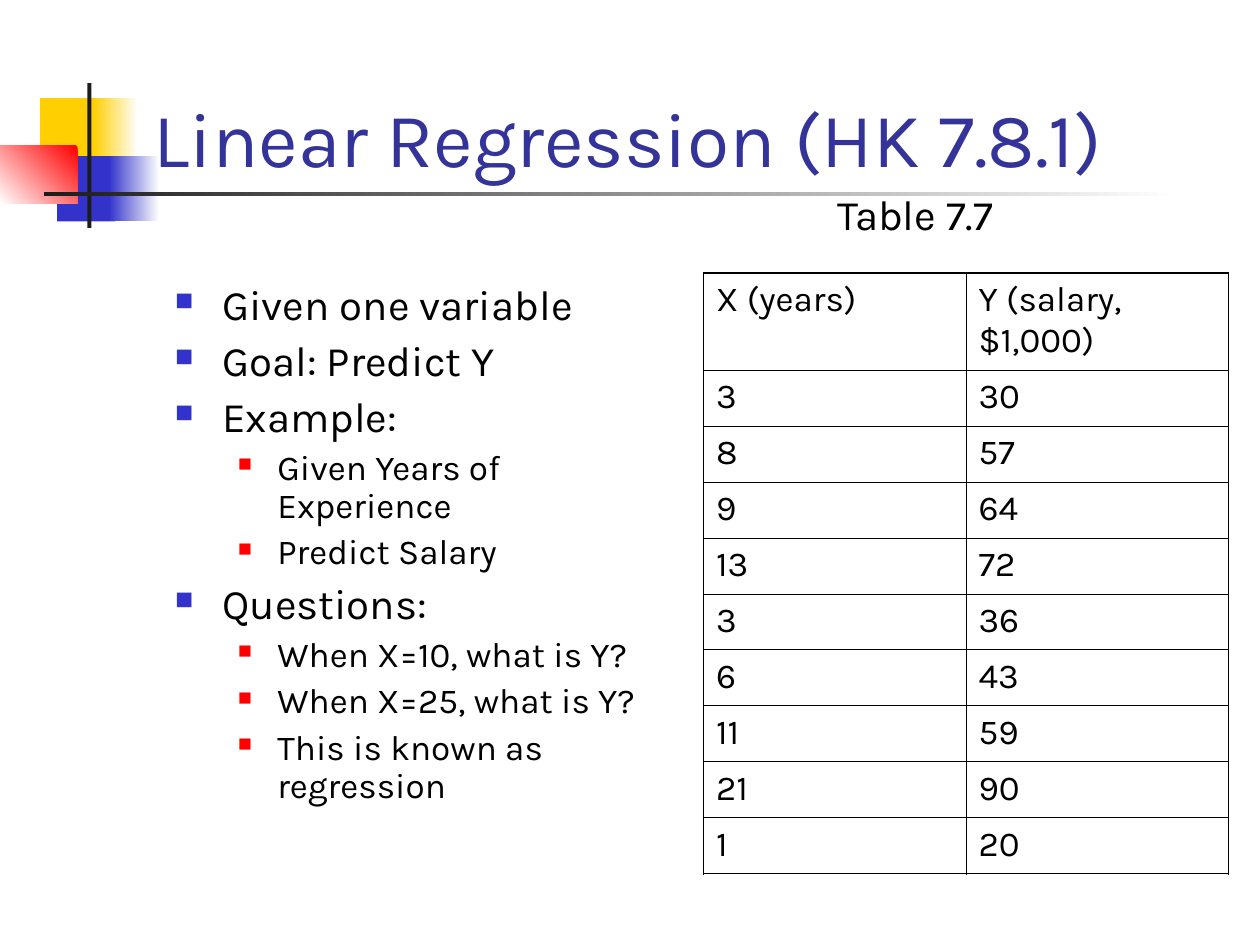
from lxml import etree
from pptx import Presentation
from pptx.dml.color import RGBColor
from pptx.enum.shapes import MSO_SHAPE
from pptx.enum.text import MSO_ANCHOR
from pptx.oxml.ns import qn
from pptx.util import Pt

RECTANGLE = MSO_SHAPE.RECTANGLE
BOTTOM = MSO_ANCHOR.BOTTOM
FONT = "Karla"
COLORS = {
    "white": "FFFFFF", "black": "000000", "title": "333399", "yellow": "FFCF01",
    "blue": "3333CC", "red": "FF0000", "dark": "1C1C1C",
}


def color(name):
    return RGBColor.from_string(COLORS[name])


def add_run(paragraph, text, size, color_name="black"):
    run = paragraph.add_run()
    run.text = text
    run.font.name = FONT
    run.font.size = Pt(size)
    run.font.color.rgb = color(color_name)


presentation = Presentation()
presentation.slide_width = Pt(720)
presentation.slide_height = Pt(540)
slide = presentation.slides.add_slide(presentation.slide_layouts[6])

# Corner decoration: left, top, width, height, colours, gradient angle
decorations = [
    (22.9, 56.1, 34.6, 37.4, ["yellow"], None),
    (53.1, 56.1, 25.9, 37.4, ["white", "yellow"], 180),
    (32.6, 89.2, 33.2, 37.4, ["blue"], None),
    (62.1, 89.2, 28.8, 37.4, ["white", "blue"], 180),
    (0, 83.2, 44.2, 33.3, ["red", "white"], 225),
    (49.9, 47.5, 2.4, 82.8, ["dark"], None),
    (25.2, 109.7, 648, 2.5, ["white", "dark"], 180),
]
for left, top, width, height, names, angle in decorations:
    shape = slide.shapes.add_shape(RECTANGLE, Pt(left), Pt(top), Pt(width), Pt(height))
    shape.shadow.inherit = False
    shape.line.fill.background()
    if angle is None:
        shape.fill.solid()
        shape.fill.fore_color.rgb = color(names[0])
    else:
        shape.fill.gradient()
        shape.fill.gradient_angle = angle
        for stop, name in zip(shape.fill.gradient_stops, names):
            stop.color.rgb = color(name)

# Title
title = slide.shapes.add_textbox(Pt(80.6), Pt(18), Pt(613.4), Pt(90)).text_frame
title.word_wrap = True
title.vertical_anchor = BOTTOM
add_run(title.paragraphs[0], "Linear Regression (HK 7.8.1)", 44, "title")

# Bulleted list: one style per level
levels = [
    {"size": 24, "before": 6, "margin": 27, "indent": -27, "bullet": "blue", "percent": 60},
    {"size": 20, "before": 5, "margin": 58.5, "indent": -22.5, "bullet": "red", "percent": 55},
]
points = [
    (0, "Given one variable"),
    (0, "Goal: Predict Y"),
    (0, "Example:"),
    (1, "Given Years of Experience"),
    (1, "Predict Salary"),
    (0, "Questions:"),
    (1, "When X=10, what is Y?"),
    (1, "When X=25, what is Y?"),
    (1, "This is known as regression"),
]
body = slide.shapes.add_textbox(Pt(92.9), Pt(159.1), Pt(300), Pt(324)).text_frame
body.word_wrap = True
for index, (level, text) in enumerate(points):
    style = levels[level]
    paragraph = body.add_paragraph() if index else body.paragraphs[0]
    paragraph.level = level
    properties = paragraph._p.get_or_add_pPr()
    properties.set("marL", str(Pt(style["margin"])))
    properties.set("indent", str(Pt(style["indent"])))
    bullet_color = etree.SubElement(properties, qn("a:buClr"))
    etree.SubElement(bullet_color, qn("a:srgbClr"), val=COLORS[style["bullet"]])
    etree.SubElement(properties, qn("a:buSzPct"), val=str(style["percent"] * 1000))
    etree.SubElement(properties, qn("a:buChar"), char="■")
    paragraph.line_spacing = 0.9
    if index:
        paragraph.space_before = Pt(style["before"])
    add_run(paragraph, text, style["size"])

# Salary table
rows = [
    ("X (years)", "Y (salary, $1,000)"),
    (3, 30), (8, 57), (9, 64), (13, 72), (3, 36), (6, 43), (11, 59), (21, 90), (1, 20),
]
last_row, last_column = len(rows) - 1, 1
table = slide.shapes.add_table(
    len(rows), 2, Pt(402), Pt(156), Pt(300), Pt(343.5)).table
table.first_row = False
table.horz_banding = False
for column in table.columns:
    column.width = Pt(150)
for row_index, values in enumerate(rows):
    table.rows[row_index].height = Pt(32 if row_index else 55.5)
    for column_index, value in enumerate(values):
        cell = table.cell(row_index, column_index)
        add_run(cell.text_frame.paragraphs[0], str(value), 20)
        # Heavier rule on the outer edges, thin rule inside
        outer_edges = {
            "a:lnL": column_index == 0, "a:lnR": column_index == last_column,
            "a:lnT": row_index == 0, "a:lnB": row_index == last_row,
        }
        cell_properties = cell._tc.get_or_add_tcPr()
        for tag, is_outer in outer_edges.items():
            border = etree.SubElement(
                cell_properties, qn(tag), w=str(Pt(1.08 if is_outer else 0.45)))
            border_fill = etree.SubElement(border, qn("a:solidFill"))
            etree.SubElement(border_fill, qn("a:srgbClr"), val=COLORS["black"])
        cell.fill.background()

# Table caption
caption = slide.shapes.add_textbox(Pt(471.6), Pt(104.4), Pt(116), Pt(36)).text_frame
caption.word_wrap = False
add_run(caption.paragraphs[0], "Table 7.7", 24)

presentation.save("out.pptx")
